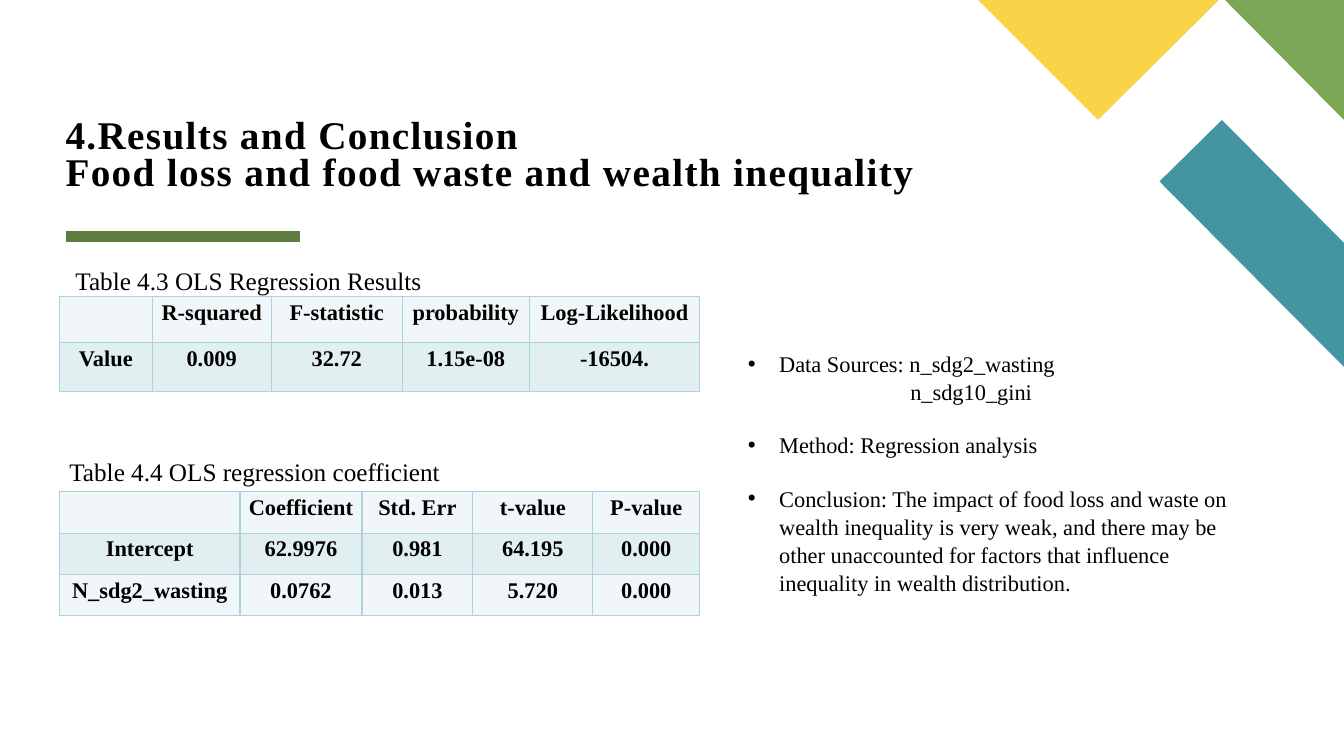
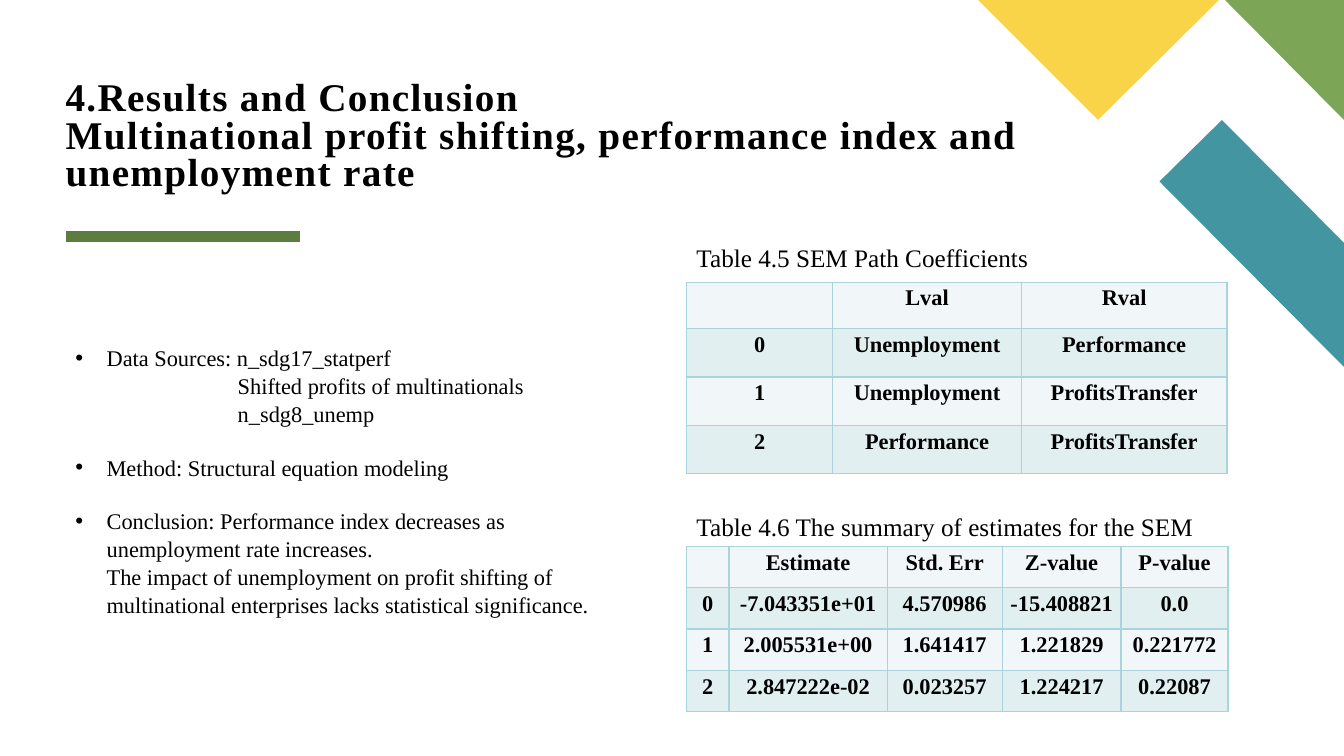
from lxml import etree
from pptx import Presentation
from pptx import util as u
from pptx.dml.color import RGBColor
from pptx.enum import shapes, text
from pptx.oxml.ns import qn

PX = 9144
FONT = "Times New Roman"
COLORS = {
    "ink": "000000",
    "teal": "4495A2",
    "green": "7CA655",
    "yellow": "F9D448",
    "rule": "5D7D40",
    "border": "A9D4DB",
    "light row": "F1F7F8",
    "dark row": "E2EFF1",
}
CORNER = [
    ("teal", [(1333, 364), (1333, 241), (1212, 119), (1150, 180)]),
    ("green", [(1333, 119), (1333, 0), (1215, 0)]),
    ("yellow", [(970, 0), (1089, 119), (1209, 0)]),
]
HANG = 31
SOURCE_INDENT = 161

SLIDES = [
    {
        "title": ["4.Results and Conclusion", "Food loss and food waste and wealth inequality"],
        "title_width": 1069,
        "tables": [
            {
                "caption": "Table 4.3 OLS Regression Results",
                "caption_at": (65, 258),
                "at": (59, 294),
                "columns": [92, 118, 130, 126, 169],
                "heights": [46, 48],
                "rows": [
                    ["", "R-squared", "F-statistic", "probability", "Log-Likelihood"],
                    ["Value", "0.009", "32.72", "1.15e-08", "-16504."],
                ],
            },
            {
                "caption": "Table 4.4 OLS regression coefficient",
                "caption_at": (59, 448),
                "at": (59, 488),
                "columns": [179, 121, 110, 119, 106],
                "heights": [41] * 3,
                "rows": [
                    ["", "Coefficient", "Std. Err", "t-value", "P-value"],
                    ["Intercept", "62.9976", "0.981", "64.195", "0.000"],
                    ["N_sdg2_wasting", "0.0762", "0.013", "5.720", "0.000"],
                ],
            },
        ],
        "notes_at": (732, 341, 515, 269),
        "notes": [
            ("Data Sources: n_sdg2_wasting", HANG, True),
            ("n_sdg10_gini", SOURCE_INDENT, False),
            ("Method: Regression analysis", HANG, True),
            ("Conclusion: The impact of food loss and waste on wealth inequality is very weak, "
             "and there may be other unaccounted for factors that influence inequality in "
             "wealth distribution.", HANG, True),
        ],
    },
    {
        "title": ["4.Results and Conclusion",
                  "Multinational profit shifting, performance index and unemployment rate"],
        "title_width": 1161,
        "tables": [
            {
                "caption": "Table 4.5 SEM Path Coefficients",
                "caption_at": (681, 235),
                "at": (681, 280),
                "columns": [145, 187, 204],
                "heights": [46, 48, 48, 48],
                "rows": [
                    ["", "Lval", "Rval"],
                    ["0", "Unemployment", "Performance"],
                    ["1", "Unemployment", "ProfitsTransfer"],
                    ["2", "Performance", "ProfitsTransfer"],
                ],
            },
            {
                "caption": "Table 4.6 The summary of estimates for the SEM",
                "caption_at": (681, 502),
                "at": (681, 542),
                "columns": [42, 157, 114, 118, 106],
                "heights": [41] * 4,
                "rows": [
                    ["", "Estimate", "Std. Err", "Z-value", "P-value"],
                    ["0", "-7.043351e+01", "4.570986", "-15.408821", "0.0"],
                    ["1", "2.005531e+00", "1.641417", "1.221829", "0.221772"],
                    ["2", "2.847222e-02", "0.023257", "1.224217", "0.22087"],
                ],
            },
        ],
        "notes_at": (65, 335, 536, 308),
        "notes": [
            ("Data Sources: n_sdg17_statperf", HANG, True),
            ("Shifted profits of multinationals", SOURCE_INDENT, False),
            ("n_sdg8_unemp", SOURCE_INDENT, False),
            ("Method: Structural equation modeling", HANG, True),
            ("Conclusion: Performance index decreases as unemployment rate increases.", HANG, True),
            ("The impact of unemployment on profit shifting of multinational enterprises lacks "
             "statistical significance.", HANG, False),
        ],
    },
]


def color(name):
    return RGBColor.from_string(COLORS[name])


def write(frame, words, *, size, bold=False, align=text.PP_ALIGN.LEFT, leading=1.0,
          before=0, after=0, tracking=0, indent=0, bullet=False):
    paragraph = frame.add_paragraph() if frame.text else frame.paragraphs[0]
    properties = paragraph._p.get_or_add_pPr()
    if indent:
        properties.set("marL", str(indent * PX))
        properties.set("indent", str(-indent * PX if bullet else 0))
    if bullet:
        etree.SubElement(properties, qn("a:buFont"), typeface="Arial")
        etree.SubElement(properties, qn("a:buChar"), char="•")
    paragraph.alignment = align
    paragraph.line_spacing = leading
    paragraph.space_before = u.Pt(before)
    paragraph.space_after = u.Pt(after)
    run = paragraph.add_run()
    run.text = words
    run.font.name = FONT
    run.font.size = u.Pt(size)
    run.font.bold = bold
    run.font.color.rgb = color("ink")
    if tracking:
        run._r.get_or_add_rPr().set("spc", str(tracking * 100))


prs = Presentation()
prs.slide_width = 1333 * PX
prs.slide_height = 750 * PX

for content in SLIDES:
    slide = prs.slides.add_slide(prs.slide_layouts[5])

    for fill, corners in CORNER:
        outline = slide.shapes.build_freeform(*corners[0], scale=PX)
        outline.add_line_segments(corners[1:], close=True)
        band = outline.convert_to_shape()
        band.shadow.inherit = False
        band.fill.solid()
        band.fill.fore_color.rgb = color(fill)
        band.line.fill.background()

    rule = slide.shapes.add_connector(
        shapes.MSO_CONNECTOR.STRAIGHT, 65 * PX, 235 * PX, 298 * PX, 235 * PX)
    rule.line.color.rgb = color("rule")
    rule.line.width = u.Pt(8)
    etree.SubElement(rule._element.spPr, qn("a:effectLst"))

    title = slide.shapes.title
    title.left, title.top = 65 * PX, 30 * PX
    title.width, title.height = content["title_width"] * PX, 163 * PX
    heading = title.text_frame
    heading.auto_size = text.MSO_AUTO_SIZE.NONE
    heading.word_wrap = True
    heading.vertical_anchor = text.MSO_ANCHOR.BOTTOM
    heading.margin_left = heading.margin_right = heading.margin_top = heading.margin_bottom = 0
    for line in content["title"]:
        write(heading, line, size=28, bold=True, leading=0.8, tracking=1)

    for data in content["tables"]:
        left, top = data["caption_at"]
        caption = slide.shapes.add_textbox(left * PX, top * PX, 540 * PX, 40 * PX).text_frame
        caption.word_wrap = True
        write(caption, data["caption"], size=18)

        left, top = data["at"]
        columns, heights = data["columns"], data["heights"]
        table = slide.shapes.add_table(
            len(heights), len(columns), left * PX, top * PX,
            sum(columns) * PX, sum(heights) * PX).table
        table.first_row = table.horz_banding = False
        for column, width in zip(table.columns, columns):
            column.width = width * PX
        for r, (values, height) in enumerate(zip(data["rows"], heights)):
            table.rows[r].height = height * PX
            for c, value in enumerate(values):
                cell = table.cell(r, c)
                cell.margin_left = cell.margin_right = 7 * PX
                cell.margin_top = cell.margin_bottom = 0
                cell.fill.solid()
                cell.fill.fore_color.rgb = color("dark row" if r % 2 else "light row")
                write(cell.text_frame, value, size=16, bold=True,
                      align=text.PP_ALIGN.CENTER, leading=1.15, after=8)
                properties = cell._tc.get_or_add_tcPr()
                for order, side in enumerate(("lnL", "lnR", "lnT", "lnB")):
                    border = etree.Element(qn("a:" + side), w=str(u.Pt(1)))
                    paint = etree.SubElement(border, qn("a:solidFill"))
                    etree.SubElement(paint, qn("a:srgbClr"), val=COLORS["border"])
                    properties.insert(order, border)

    notes = slide.shapes.add_textbox(*(n * PX for n in content["notes_at"])).text_frame
    notes.word_wrap = True
    for i, (words, indent, bullet) in enumerate(content["notes"]):
        write(notes, words, size=16, leading=1.05, before=18 if bullet and i else 0,
              indent=indent, bullet=bullet)

prs.save("out.pptx")
